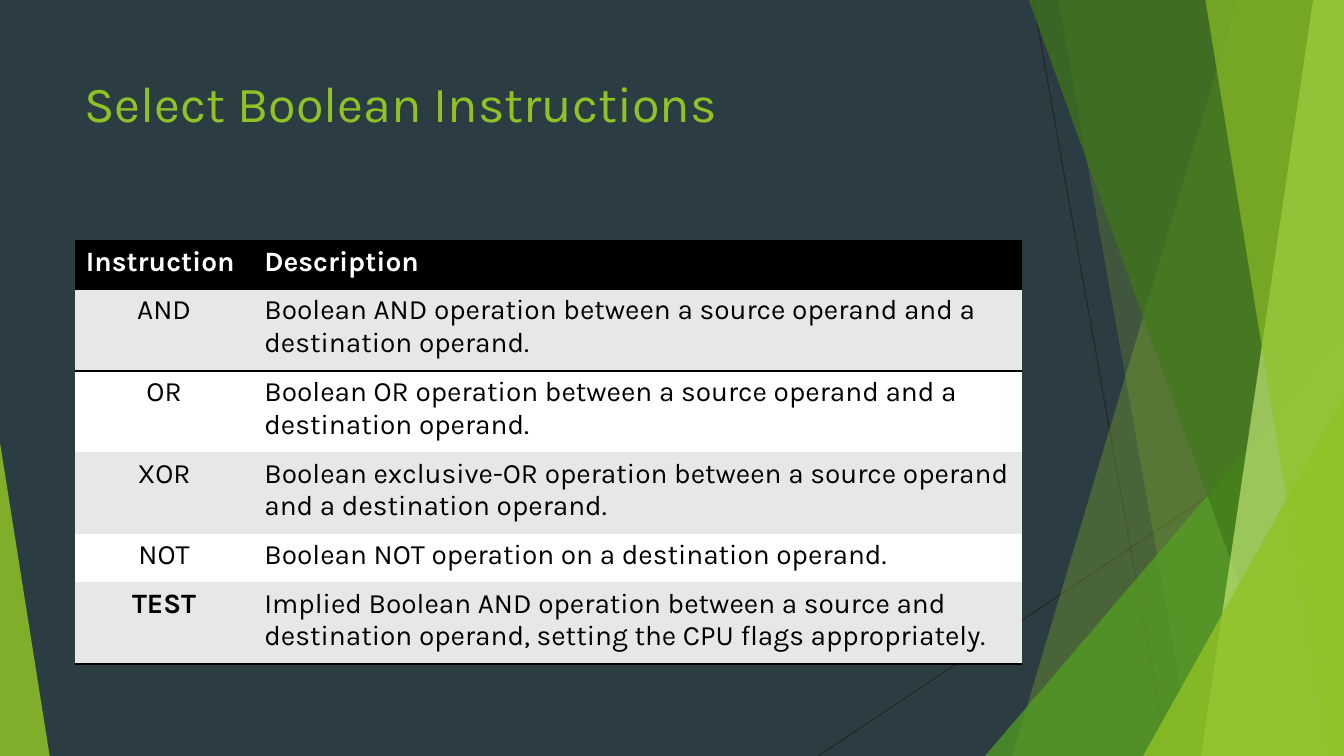
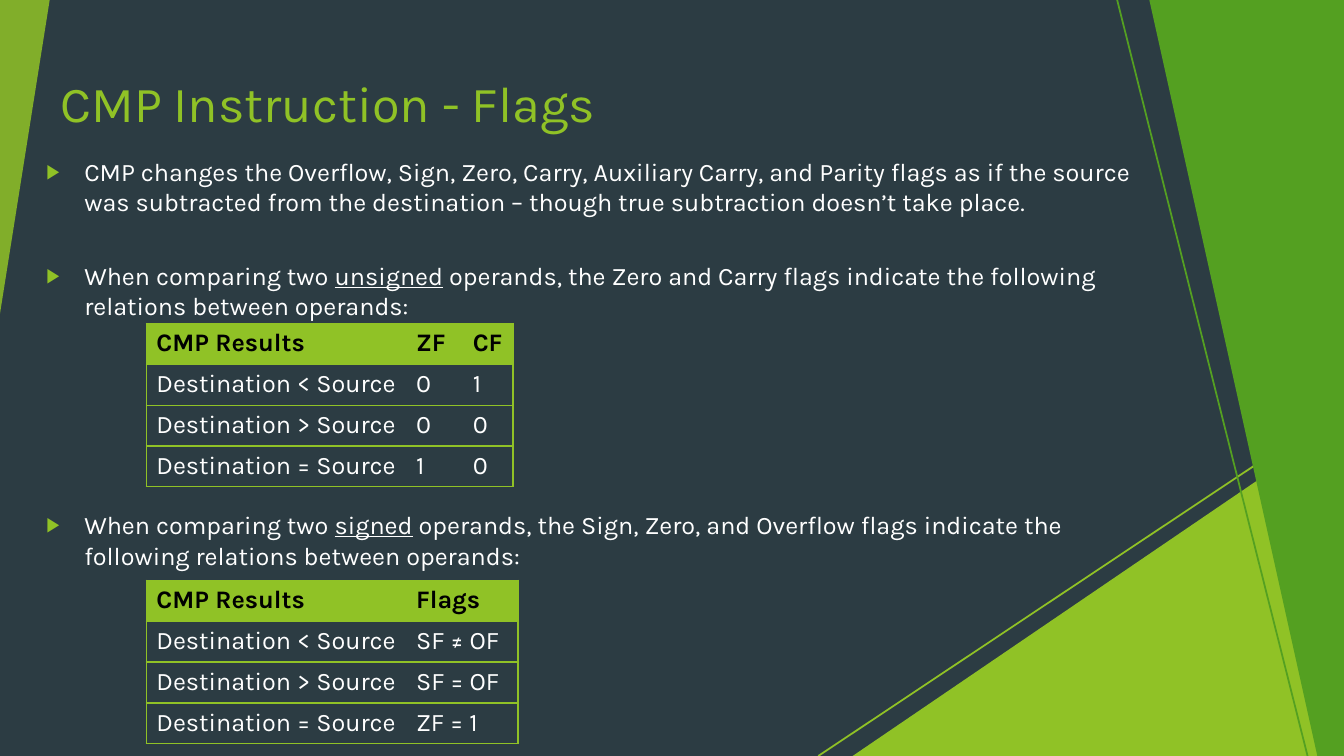
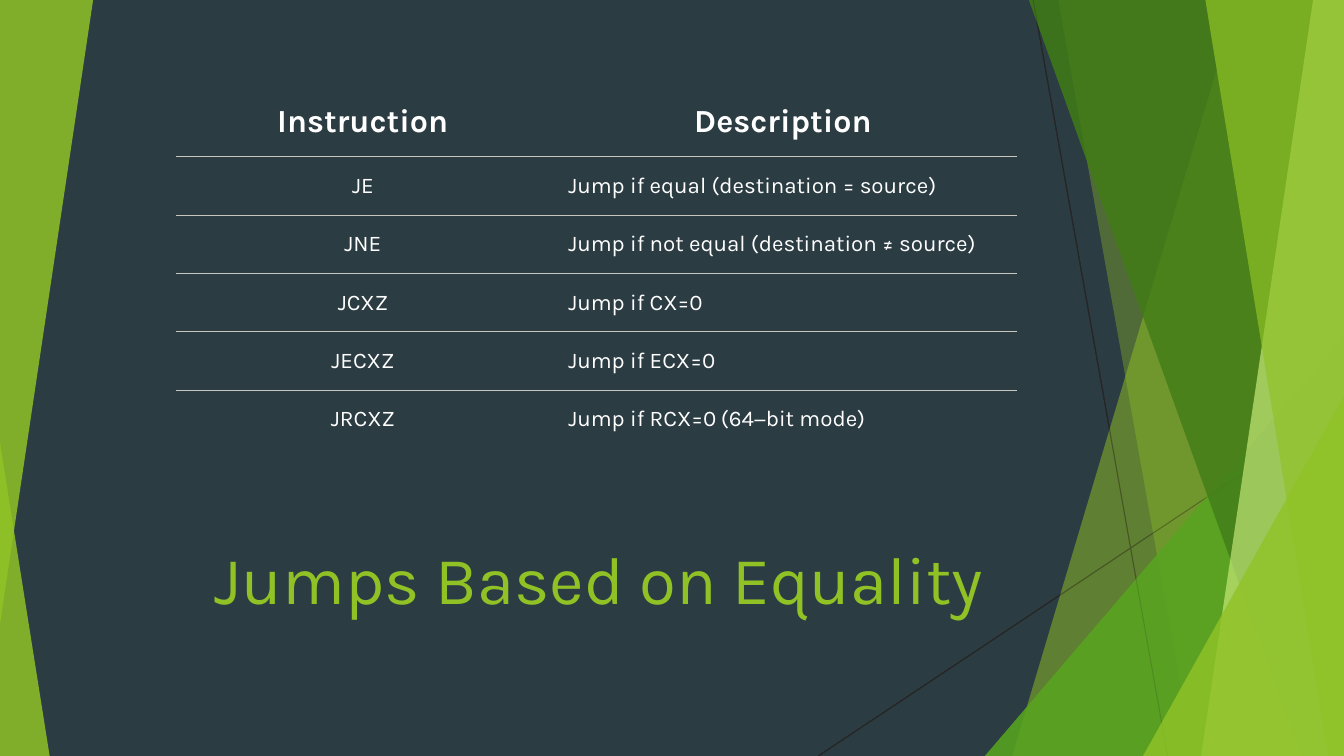
"""Build three slides on Boolean, compare and jump instructions."""
import dataclasses

import lxml.etree
import pptx
import pptx.dml.color
import pptx.enum.shapes
import pptx.enum.text
import pptx.oxml.ns
import pptx.util

Pt = pptx.util.Pt
qn = pptx.oxml.ns.qn
ALIGN = pptx.enum.text.PP_ALIGN
ANCHOR = pptx.enum.text.MSO_ANCHOR

WIDTH, HEIGHT = 960, 540
FONT = "Karla"
SLATE, WHITE, BLACK, INK = "2C3C43", "FFFFFF", "000000", "262626"
LIME, GREEN, FOREST, PALE = "90C226", "54A021", "3F7819", "C0E474"
SILVER, GREY = "C7C6C1", "E7E7E7"
NO_STYLE = "{2D5ABB26-0587-4C30-8999-92F81FD0307C}"


@dataclasses.dataclass
class TableLook:
    rule_color: str
    rule_width: float
    rules: tuple
    sides: bool = False
    head_size: float = 18
    size: float = 18
    head_color: str = WHITE
    color: str = WHITE
    head_fill: str = ""
    bands: tuple = ("",)
    head_align: object = ALIGN.LEFT
    key_align: object = ALIGN.LEFT
    anchor: object = ANCHOR.TOP
    margins: tuple = (7.2, 3.6, 7.2, 3.6)
    bold_keys: tuple = ()


BOOLEAN_LOOK = TableLook(
    BLACK, 2, (0, 1, 6), head_size=20, size=20, color=BLACK, head_fill=BLACK,
    bands=(GREY, WHITE), key_align=ALIGN.CENTER, margins=(7.9, 3.6, 7.9, 3.6),
    bold_keys=("TEST",))
FLAG_LOOK = TableLook(
    LIME, 1, (0, 1, 2, 3, 4), sides=True, head_color=BLACK, head_fill=LIME)
JUMP_LOOK = TableLook(
    SILVER, 0.75, (1, 2, 3, 4, 5), head_size=23, size=16,
    head_align=ALIGN.CENTER, key_align=ALIGN.CENTER, anchor=ANCHOR.MIDDLE,
    margins=(18, 9.4, 13.6, 9.4))


def rgb(color):
    return pptx.dml.color.RGBColor.from_string(color)


def sub(parent, tag, **attrs):
    return lxml.etree.SubElement(parent, qn(tag), attrs)


def style(r, size, color, bold=False):
    r.font.name = FONT
    r.font.size = Pt(size)
    r.font.color.rgb = rgb(color)
    r.font.bold = bold


def place(sp, left, top, width, height):
    sp.left, sp.top = Pt(left), Pt(top)
    sp.width, sp.height = Pt(width), Pt(height)


def paint(sp, color, opacity):
    sp.shadow.inherit = False
    sp.line.fill.background()
    sp.fill.solid()
    sp.fill.fore_color.rgb = rgb(color)
    if opacity < 100:
        clr = sp.element.spPr.find(".//" + qn("a:srgbClr"))
        sub(clr, "a:alpha", val=str(opacity * 1000))


def facet(shapes, x_top, x_bottom, color, opacity=100):
    """Fill from a slanted edge to the right side of the slide."""
    fb = shapes.build_freeform(Pt(x_top), 0)
    fb.add_line_segments([(Pt(WIDTH), 0), (Pt(WIDTH), Pt(HEIGHT)),
                          (Pt(x_bottom), Pt(HEIGHT))], close=True)
    paint(fb.convert_to_shape(), color, opacity)


def triangle(shapes, box, apex, color, opacity=100, rotation=0):
    kind = pptx.enum.shapes.MSO_SHAPE.ISOSCELES_TRIANGLE
    sp = shapes.add_shape(kind, *map(Pt, box))
    sp.adjustments[0] = apex
    sp.rotation = rotation
    paint(sp, color, opacity)


def line(shapes, start, end, color, width):
    kind = pptx.enum.shapes.MSO_CONNECTOR.STRAIGHT
    c = shapes.add_connector(kind, *map(Pt, start + end))
    c.line.color.rgb = rgb(color)
    c.line.width = Pt(width)
    sub(c.element.spPr, "a:effectLst")


def top_wedge(shapes, width, height):
    triangle(shapes, (0, 0, width, height), 1, LIME, 85, rotation=180)


def facets(s):
    """Draw the group of overlapping facets on the right side."""
    group = s.shapes.add_group_shape()
    shapes = group.shapes
    line(shapes, (738, 0), (834, HEIGHT), INK, 0.75)
    line(shapes, (WIDTH, 290), (584.5, HEIGHT), INK, 0.75)
    facet(shapes, 884, 723, LIME, 30)
    facet(shapes, 756, 852, LIME, 20)
    triangle(shapes, (703.5, 240, 256.5, 300), 1, GREEN, 72)
    facet(shapes, 735, 929.5, FOREST, 70)
    facet(shapes, 938, 858, PALE, 70)
    facet(shapes, 861, 949, LIME, 65)
    triangle(shapes, (816.5, 283, 143.5, 257), 1, LIME, 80)
    return group


def add_layout_art(s):
    """Give the slide's layout the facets and the left wedge."""
    layout = s.slide_layout
    for sp in list(layout.placeholders):
        if sp.placeholder_format.idx:
            layout.shapes.element.remove(sp.element)
    group = facets(s)
    triangle(group.shapes, (0, 316, 35.5, 224), 0, LIME, 85)
    layout.shapes.element.append(group.element)


def title(s, text, box, size=36, align=ALIGN.LEFT, anchor=ANCHOR.TOP, spacing=1.0):
    sp = s.shapes.title
    place(sp, *box)
    tf = sp.text_frame
    tf.text = text
    tf.word_wrap = True
    tf.auto_size = pptx.enum.text.MSO_AUTO_SIZE.NONE
    tf.vertical_anchor = anchor
    p = tf.paragraphs[0]
    p.alignment = align
    p.line_spacing = spacing
    style(p.runs[0], size, LIME)


def bullets(s, items, box):
    """Fill the body with (space before, text); _marks_ underline."""
    sp = s.placeholders[1]
    place(sp, *box)
    tf = sp.text_frame
    tf.auto_size = pptx.enum.text.MSO_AUTO_SIZE.NONE
    tf.vertical_anchor = ANCHOR.TOP
    for i, (gap, text) in enumerate(items):
        p = tf.add_paragraph() if i else tf.paragraphs[0]
        p.space_before = Pt(gap)
        pPr = p._p.get_or_add_pPr()
        pPr.set("marL", str(Pt(27)))
        pPr.set("indent", str(-Pt(27)))
        sub(sub(pPr, "a:buClr"), "a:srgbClr", val=LIME)
        sub(pPr, "a:buSzPct", val="80000")
        sub(pPr, "a:buChar", char="\u25b6")
        for j, part in enumerate(text.split("_")):
            r = p.add_run()
            r.text = part
            style(r, 18, WHITE)
            r.font.underline = j % 2 == 1


def border(cell, edges, color, width):
    tcPr = cell._tc.get_or_add_tcPr()
    for tag in edges:
        ln = sub(tcPr, tag, w=str(Pt(width)))
        sub(sub(ln, "a:solidFill"), "a:srgbClr", val=color)


def fill_cell(cell, text, row, col, last_col, look):
    head = row == 0
    cell.text = text
    cell.margin_left, cell.margin_top, cell.margin_right, cell.margin_bottom = map(
        Pt, look.margins)
    cell.vertical_anchor = look.anchor
    p = cell.text_frame.paragraphs[0]
    if head:
        p.alignment = look.head_align
        style(p.runs[0], look.head_size, look.head_color, True)
        fill = look.head_fill
    else:
        p.alignment = ALIGN.LEFT if col else look.key_align
        style(p.runs[0], look.size, look.color, text in look.bold_keys)
        fill = look.bands[(row - 1) % len(look.bands)]
    wanted = {"a:lnL": look.sides and col == 0,
              "a:lnR": look.sides and col == last_col,
              "a:lnT": row in look.rules,
              "a:lnB": row + 1 in look.rules}
    border(cell, [tag for tag, on in wanted.items() if on],
           look.rule_color, look.rule_width)
    if fill:
        cell.fill.solid()
        cell.fill.fore_color.rgb = rgb(fill)
    else:
        cell.fill.background()


def table(s, left, top, widths, heights, rows, look):
    frame = s.shapes.add_table(len(rows), len(widths), Pt(left), Pt(top),
                               Pt(sum(widths)), Pt(sum(heights)))
    frame.element.find(".//" + qn("a:tableStyleId")).text = NO_STYLE
    tbl = frame.table
    tbl.horz_banding = False
    for column, width in zip(tbl.columns, widths):
        column.width = Pt(width)
    for i, (height, texts) in enumerate(zip(heights, rows)):
        tbl.rows[i].height = Pt(height)
        for j, text in enumerate(texts):
            fill_cell(tbl.cell(i, j), text, i, j, len(widths) - 1, look)


def boolean_slide(prs):
    s = prs.slides.add_slide(prs.slide_layouts[5])
    add_layout_art(s)
    title(s, "Select Boolean Instructions", (53, 48, 677, 104))
    both = "operation between a source operand and a destination operand."
    rows = [
        ("Instruction", "Description"),
        ("AND", "Boolean AND\u00a0" + both),
        ("OR", "Boolean\u00a0OR " + both),
        ("XOR", "Boolean exclusive-OR " + both),
        ("NOT", "Boolean NOT operation on a destination operand."),
        ("TEST", "Implied Boolean AND operation between a source and destination "
                 "operand, setting the CPU flags appropriately."),
    ]
    one, two = 34.6, 58.3
    table(s, 53.5, 172, (127.5, 549), (one, two, two, two, one, two), rows,
          BOOLEAN_LOOK)


def flags_slide(prs):
    s = prs.slides.add_slide(prs.slide_layouts[1])
    title(s, "CMP Instruction - Flags", (36, 48, 746, 60))
    top_wedge(s.shapes, 35.5, 224)
    triangle(s.shapes, (609, 301, 351, 239), 1, LIME)
    line(s.shapes, (WIDTH, 290), (584.5, HEIGHT), LIME, 1.25)
    bullets(s, [
        (10, "CMP changes the Overflow, Sign, Zero, Carry, Auxiliary Carry, and "
             "Parity flags as if the source was subtracted from the destination "
             "\u2013 though true subtraction doesn\u2019t take place."),
        (31, "When comparing two _unsigned_ operands, the Zero and Carry flags "
             "indicate the following relations between operands:"),
        (135, "When comparing two _signed_ operands, the Sign, Zero, and Overflow "
              "flags indicate the following relations between operands:"),
    ], (26, 108, 816.5, 332))
    facet(s.shapes, 821, 941, GREEN)
    line(s.shapes, (798, 0), (934, HEIGHT), GREEN, 1.25)
    relations = [f"Destination {sign} Source" for sign in "<>="]
    unsigned = [("CMP Results", "ZF", "CF"),
                *zip(relations, "001", "100")]
    signed = [("CMP Results", "Flags"),
              *zip(relations, ("SF \u2260 OF", "SF = OF", "ZF = 1"))]
    heights = [29.2] * 4
    table(s, 104.5, 231, (185.5, 40.5, 36), heights, unsigned, FLAG_LOOK)
    table(s, 104.5, 414.5, (185.5, 80), heights, signed, FLAG_LOOK)


def jumps_slide(prs):
    s = prs.slides.add_slide(prs.slide_layouts[5])
    top_wedge(facets(s).shapes, 66.5, 446)
    title(s, "Jumps Based on Equality", (126, 360, 604, 86), 48,
          ALIGN.CENTER, ANCHOR.BOTTOM, 0.9)
    rows = [
        ("Instruction", "Description"),
        ("JE", "Jump if equal (destination = source)"),
        ("JNE", "Jump if not equal (destination \u2260 source)"),
        ("JCXZ", "Jump if\u00a0CX=0"),
        ("JECXZ", "Jump if\u00a0ECX=0"),
        ("JRCXZ", "Jump if\u00a0RCX=0\u2009(64\u2212bit\u00a0mode)"),
    ]
    table(s, 126, 62.5, (262, 338.5), [49.5] + [41.7] * 5, rows, JUMP_LOOK)


def main():
    prs = pptx.Presentation()
    prs.slide_width, prs.slide_height = Pt(WIDTH), Pt(HEIGHT)
    fill = prs.slide_master.background.fill
    fill.solid()
    fill.fore_color.rgb = rgb(SLATE)
    boolean_slide(prs)
    flags_slide(prs)
    jumps_slide(prs)
    prs.save("out.pptx")


main()
